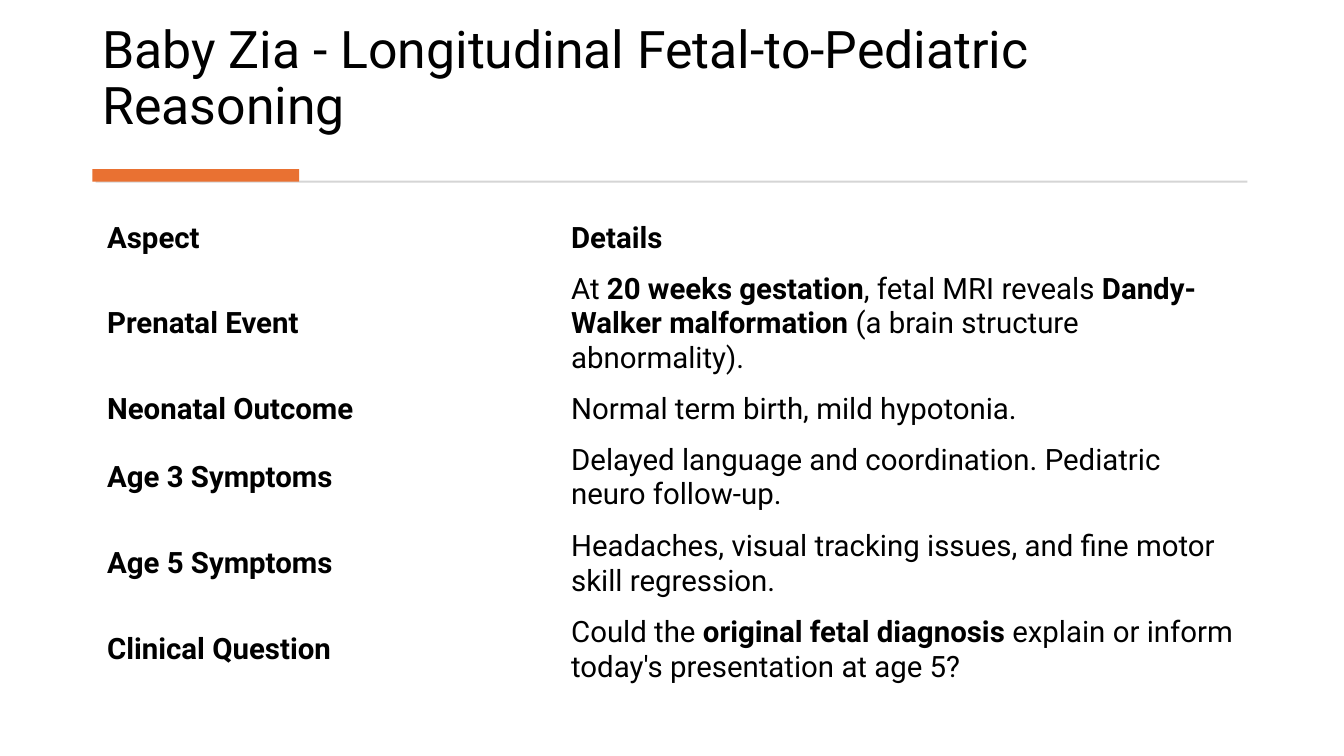
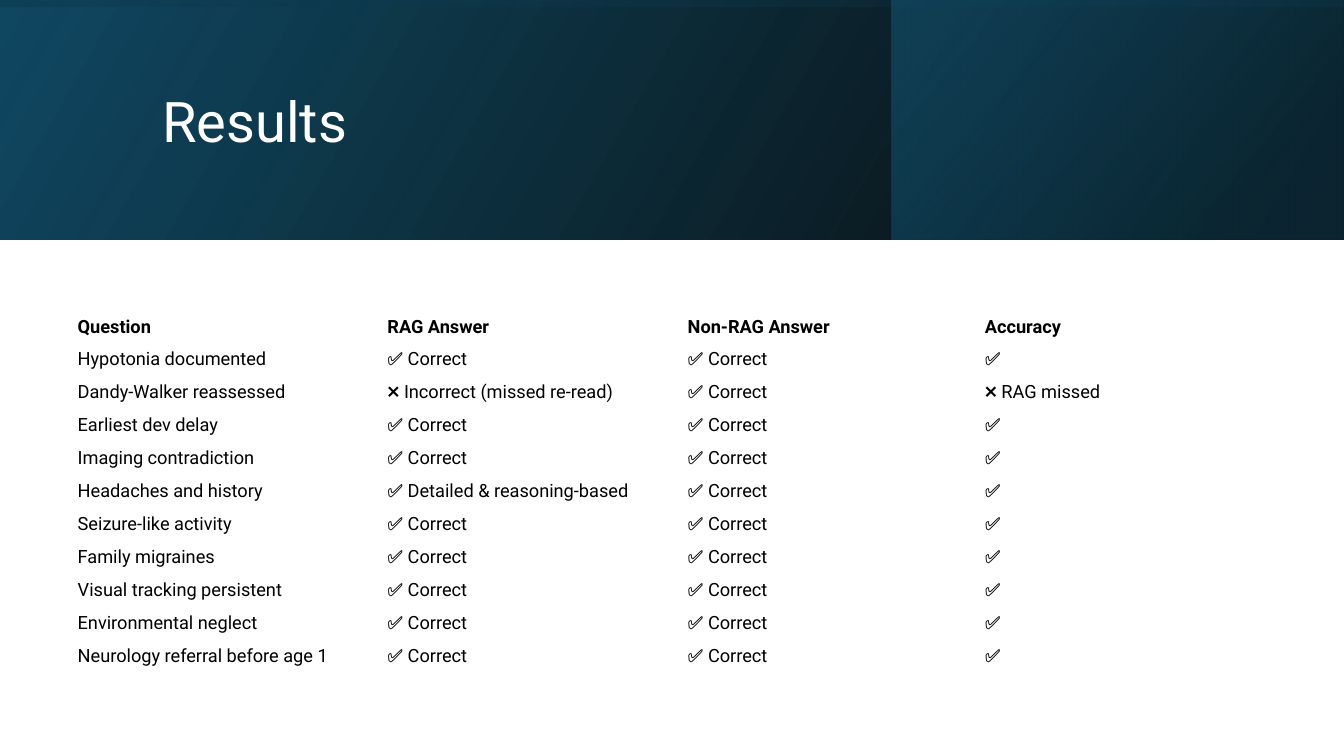
from dataclasses import dataclass

from pptx import Presentation
from pptx.dml.color import RGBColor as Rgb
from pptx.enum.shapes import MSO_SHAPE as Shape
from pptx.enum.text import MSO_ANCHOR as Anchor, MSO_AUTO_SIZE as AutoSize, PP_ALIGN as Align
from pptx.oxml.ns import qn
from pptx.oxml.xmlchemy import OxmlElement
from pptx.util import Pt

PX = 9525  # EMU per px, 96 px to the inch


@dataclass(frozen=True)
class Theme:
    font: str = "Roboto"
    black: Rgb = Rgb.from_string("000000")
    white: Rgb = Rgb.from_string("FFFFFF")
    rule: Rgb = Rgb.from_string("D5D5D5")
    accent: Rgb = Rgb.from_string("E97132")
    navy: Rgb = Rgb.from_string("104862")
    deep_navy: Rgb = Rgb.from_string("0B3041")
    teal: Rgb = Rgb.from_string("156082")
    case_title: int = 37
    results_title: int = 40
    case_text: int = 21
    results_text: int = 13


theme = Theme()


def place_title(slide, text, box, size, color, anchor):
    """Fill the title placeholder and bring it in front of the shapes so far."""
    title = slide.shapes.title
    title.left, title.top, title.width, title.height = [n * PX for n in box]
    frame = title.text_frame
    frame.text = text
    frame.word_wrap = True
    frame.auto_size = AutoSize.NONE
    frame.vertical_anchor = anchor
    line = frame.paragraphs[0]
    line.alignment = Align.LEFT
    line.line_spacing = 0.9
    font = line.runs[0].font
    font.name, font.size, font.color.rgb = theme.font, Pt(size), color
    slide.shapes.element.append(title.element)


def place_table(slide, rows, corner, widths, heights, insets, size, bold_labels=False):
    """Add a plain table with a bold header; text between ** marks is bold."""
    left, top = corner
    box = [n * PX for n in (left, top, sum(widths), sum(heights))]
    table = slide.shapes.add_table(len(rows), len(widths), *box).table
    table.first_row = table.horz_banding = False
    for column, width in zip(table.columns, widths):
        column.width = width * PX
    for r, (row, height) in enumerate(zip(rows, heights)):
        table.rows[r].height = height * PX
        for c, text in enumerate(row):
            cell = table.cell(r, c)
            cell.fill.background()
            cell.vertical_anchor = Anchor.MIDDLE
            cell.margin_left = cell.margin_right = insets[0] * PX
            cell.margin_top = cell.margin_bottom = insets[1] * PX
            heading = r == 0 or (bold_labels and c == 0)
            for i, part in enumerate(text.split("**")):
                run = cell.text_frame.paragraphs[0].add_run()
                run.text = part
                font = run.font
                font.name, font.size, font.color.rgb = theme.font, Pt(size), theme.black
                font.bold = heading or i % 2 == 1


deck = Presentation()
deck.slide_width, deck.slide_height = 1280 * PX, 720 * PX
title_only = deck.slide_layouts[5]

# Case history
case = deck.slides.add_slide(title_only)
place_title(case, "Baby Zia - Longitudinal Fetal-to-Pediatric Reasoning",
            (88, 27, 1103, 107), theme.case_title, theme.black, Anchor.BOTTOM)

for box, color in [((91, 172, 1097, 2), theme.rule), ((88, 161, 197, 12), theme.accent)]:
    bar = case.shapes.add_shape(Shape.RECTANGLE, *[n * PX for n in box])
    bar.shadow.inherit = False
    bar.fill.solid()
    bar.fill.fore_color.rgb = color
    bar.line.fill.background()

history = [
    ("Aspect", "Details"),
    ("Prenatal Event", "At **20 weeks gestation**, fetal MRI reveals "
     "**Dandy-Walker malformation** (a brain structure abnormality)."),
    ("Neonatal Outcome", "Normal term birth, mild hypotonia."),
    ("Age 3 Symptoms", "Delayed language and coordination. Pediatric neuro follow-up."),
    ("Age 5 Symptoms", "Headaches, visual tracking issues, and fine motor skill regression."),
    ("Clinical Question", "Could the **original fetal diagnosis** explain or inform "
     "today's presentation at age 5?"),
]
place_table(case, history, (92, 203), (442, 655), (48, 115, 48, 82, 82, 82),
            (10, 6), theme.case_text, bold_labels=True)

# Results
results = deck.slides.add_slide(title_only)

# box, rotation, gradient angle (clockwise), stops of (position %, colour, opacity %)
banner_layers = [
    ((0, 0, 1280, 228), 0, 330, [(0, theme.black, 96), (100, theme.navy, 100)]),
    ((849, 0, 430, 228), 0, 320, [(19, theme.deep_navy, 68), (100, theme.teal, 48)]),
    ((526, -526, 228, 1280), 270, 350, [(23, theme.navy, 16), (99, theme.black, 45)]),
]
for box, rotation, angle, stops in banner_layers:
    layer = results.shapes.add_shape(Shape.RECTANGLE, *[n * PX for n in box])
    layer.shadow.inherit = False
    layer.line.fill.background()
    layer.rotation = rotation
    layer.element.spPr.get_or_add_xfrm().set("flipH", "1")
    layer.fill.gradient()
    layer.fill.gradient_angle = 360 - angle
    for stop, (position, color, opacity) in zip(layer.fill.gradient_stops, stops):
        stop.position = position / 100
        stop.color.rgb = color
    stop_colors = layer.element.spPr.findall(".//" + qn("a:srgbClr"))
    for stop_color, (position, color, opacity) in zip(stop_colors, stops):
        alpha = OxmlElement("a:alpha")
        alpha.set("val", str(opacity * 1000))
        stop_color.append(alpha)

place_title(results, "Results", (145, 36, 1020, 165),
            theme.results_title, theme.white, Anchor.MIDDLE)

questions = [
    "Hypotonia documented", "Dandy-Walker reassessed", "Earliest dev delay",
    "Imaging contradiction", "Headaches and history", "Seizure-like activity",
    "Family migraines", "Visual tracking persistent", "Environmental neglect",
    "Neurology referral before age 1",
]
rag_answers = {
    "Dandy-Walker reassessed": "❌ Incorrect (missed re-read)",
    "Headaches and history": "✅ Detailed & reasoning-based",
}
accuracy = {"Dandy-Walker reassessed": "❌ RAG missed"}
scores = [("Question", "RAG Answer", "Non-RAG Answer", "Accuracy")]
for question in questions:
    scores.append((question, rag_answers.get(question, "✅ Correct"),
                   "✅ Correct", accuracy.get(question, "✅")))

# Share the height out in whole px
scores_height, count = 345, len(scores)
edges = [scores_height * i // count for i in range(count + 1)]
row_heights = [bottom - top for top, bottom in zip(edges, edges[1:])]
place_table(results, scores, (67, 296), (295, 286, 283, 283), row_heights,
            (7, 4), theme.results_text)

deck.save("out.pptx")
